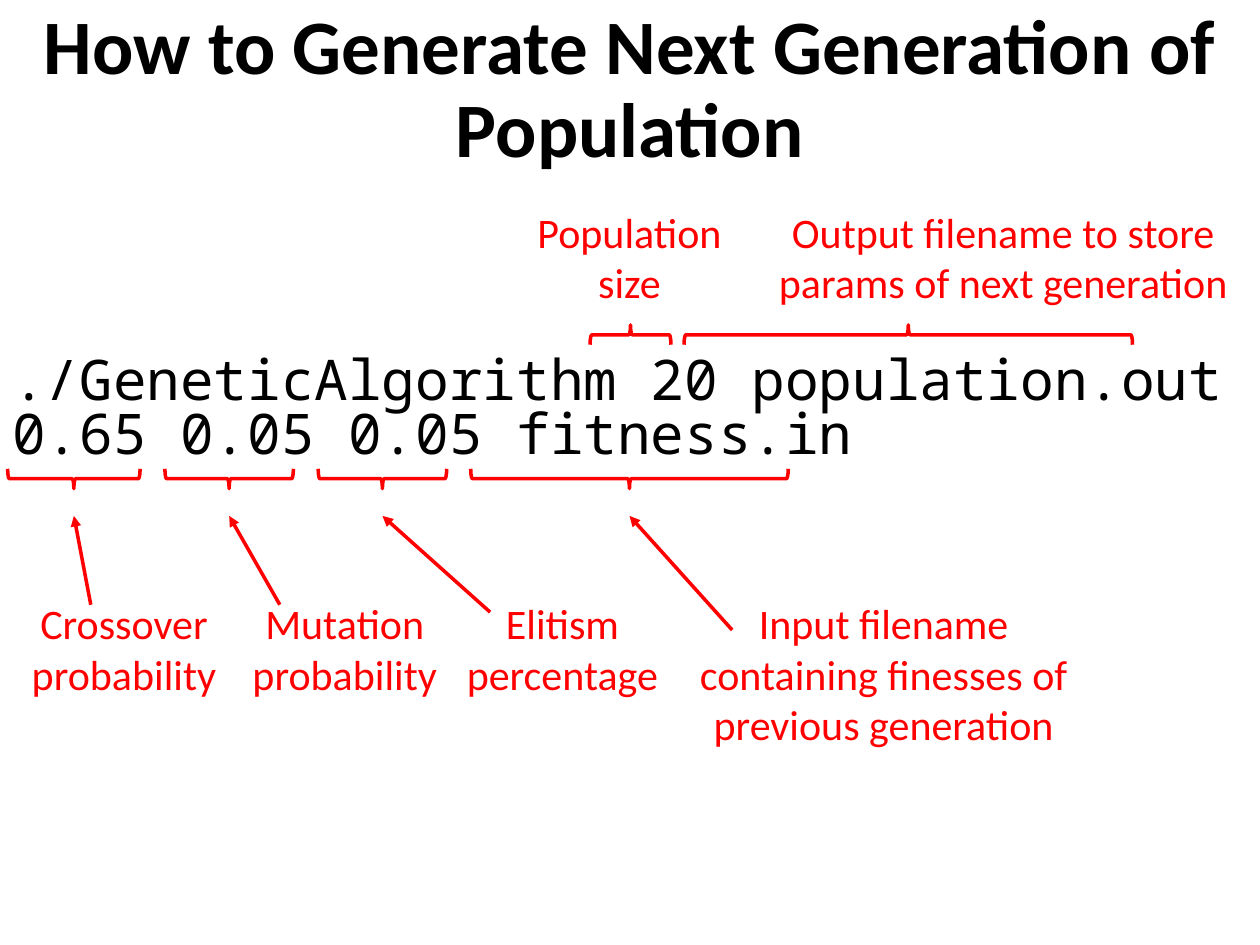
"""Build a slide that explains the arguments of the genetic algorithm command."""
import pptx
import pptx.dml.color
import pptx.enum.shapes
import pptx.enum.text
import pptx.oxml
import pptx.oxml.ns
import pptx.util

Cm, Pt = pptx.util.Cm, pptx.util.Pt
RGB = pptx.dml.color.RGBColor
ALIGN = pptx.enum.text.PP_ALIGN
ANCHOR = pptx.enum.text.MSO_ANCHOR
NS = pptx.oxml.ns.nsdecls("a")

theme = {
    "ink": RGB(0, 0, 0), "note": RGB(255, 0, 0), "line": Pt(2),
    "title": ("Calibri", Pt(44)),
    "code": ("Noto Sans Mono", Pt(32)),
    "label": ("Calibri", Pt(24)),
}

deck = pptx.Presentation()
deck.slide_width, deck.slide_height = Cm(25.4), Cm(19.05)
slide = deck.slides.add_slide(deck.slide_layouts[6])
shapes = slide.shapes


def add_text(text, box, style, color, align=ALIGN.CENTER, space=1.0):
    frame = shapes.add_textbox(*map(Cm, box)).text_frame
    frame.word_wrap = True
    para = frame.paragraphs[0]
    para.text, para.alignment, para.line_spacing = text, align, space
    para.font.name, para.font.size = theme[style]
    para.font.color.rgb = theme[color]
    return frame


def set_line(shape):
    shape.line.color.rgb = theme["note"]
    shape.line.width = theme["line"]


title = add_text("How to Generate Next Generation of Population",
                 (0, 0, 25.4, 3.68), "title", "ink", space=0.9)
title.vertical_anchor = ANCHOR.MIDDLE
title.paragraphs[0].font.bold = True

code = add_text("./GeneticAlgorithm 20 population.out 0.65 0.05 0.05 fitness.in",
                (0, 7.21, 25.4, 2.6), "code", "ink", ALIGN.LEFT, 0.8)
code.margin_top = code.margin_bottom = 0

above = {"label": 4.04, "brace": 6.75, "turn": 90}
below = {"label": 11.93, "brace": 9.65, "turn": 270}
depth, tip = 0.4, 10.4

# Each row: text, side, label left/width/height, brace centre/span, arrow start
notes = [
    ("Population size", above, (10.34, 4.7, 2.31), (12.71, 1.63), None),
    ("Output filename to store params of next generation", above,
     (15.21, 10.03, 2.31), (18.31, 9.04), None),
    ("Crossover probability", below, (0.15, 4.7, 2.31), (1.49, 2.67), (1.83, 12.19)),
    ("Mutation probability", below, (4.6, 4.7, 2.31), (4.62, 2.59), (5.64, 12.19)),
    ("Elitism percentage", below, (8.99, 4.7, 2.31), (7.71, 2.59), (9.88, 12.34)),
    ("Input filename containing finesses of previous generation", below,
     (13.28, 9.07, 3.33), (12.69, 6.4), (14.76, 12.7)),
]

for text, side, (left, width, height), (mid, span), start in notes:
    add_text(text, (left, side["label"], width, height), "label", "note")
    brace = shapes.add_shape(
        pptx.enum.shapes.MSO_SHAPE.LEFT_BRACE,
        Cm(mid - depth / 2), Cm(side["brace"] - span / 2), Cm(depth), Cm(span))
    brace.rotation = side["turn"]
    brace.shadow.inherit = False
    brace.fill.background()
    set_line(brace)
    if start:
        arrow = shapes.add_connector(
            pptx.enum.shapes.MSO_CONNECTOR.STRAIGHT,
            Cm(start[0]), Cm(start[1]), Cm(mid), Cm(tip))
        set_line(arrow)
        arrow.line._get_or_add_ln().append(
            pptx.oxml.parse_xml(f'<a:tailEnd {NS} type="triangle"/>'))
        arrow._element.spPr.append(pptx.oxml.parse_xml(f"<a:effectLst {NS}/>"))

deck.save("out.pptx")
